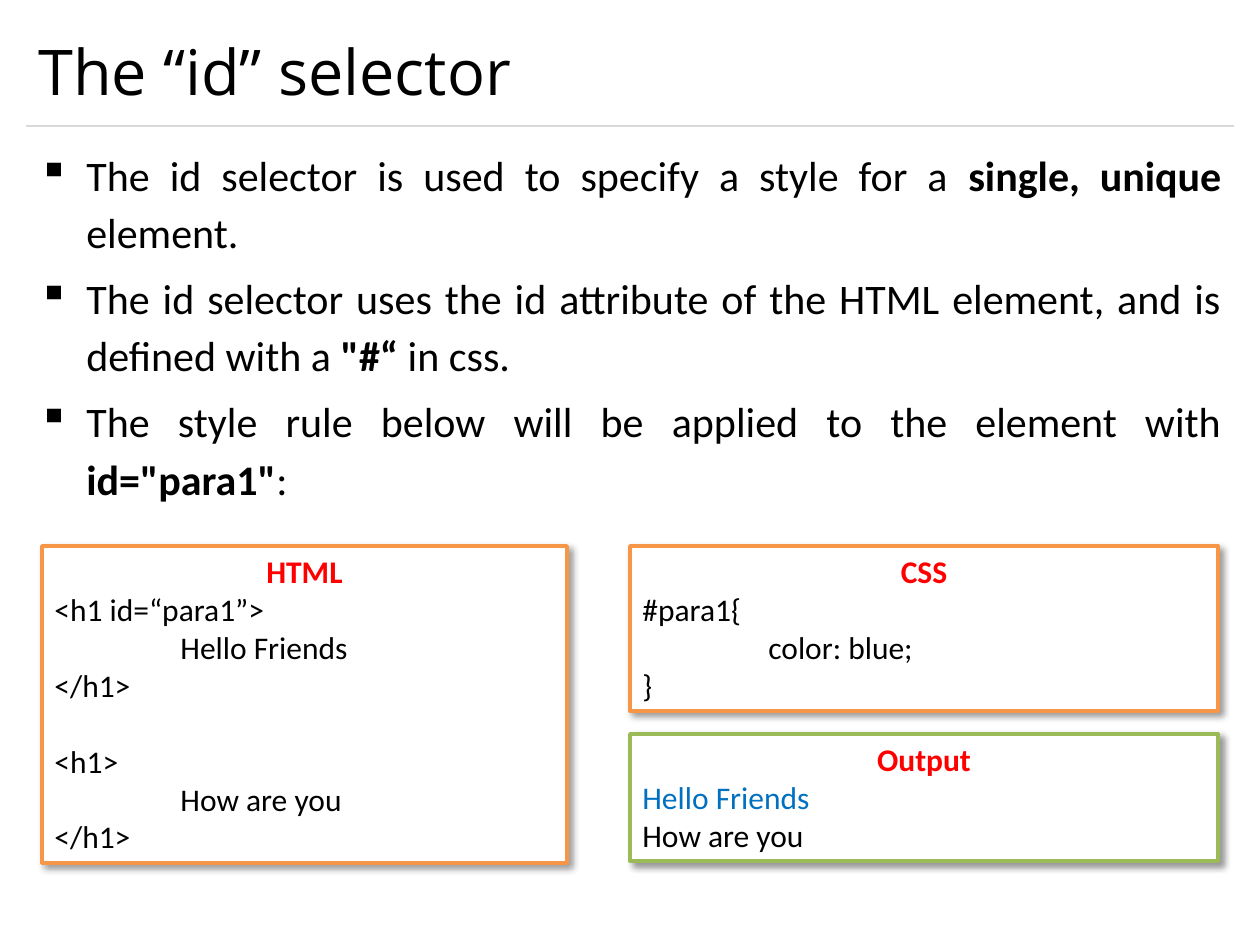
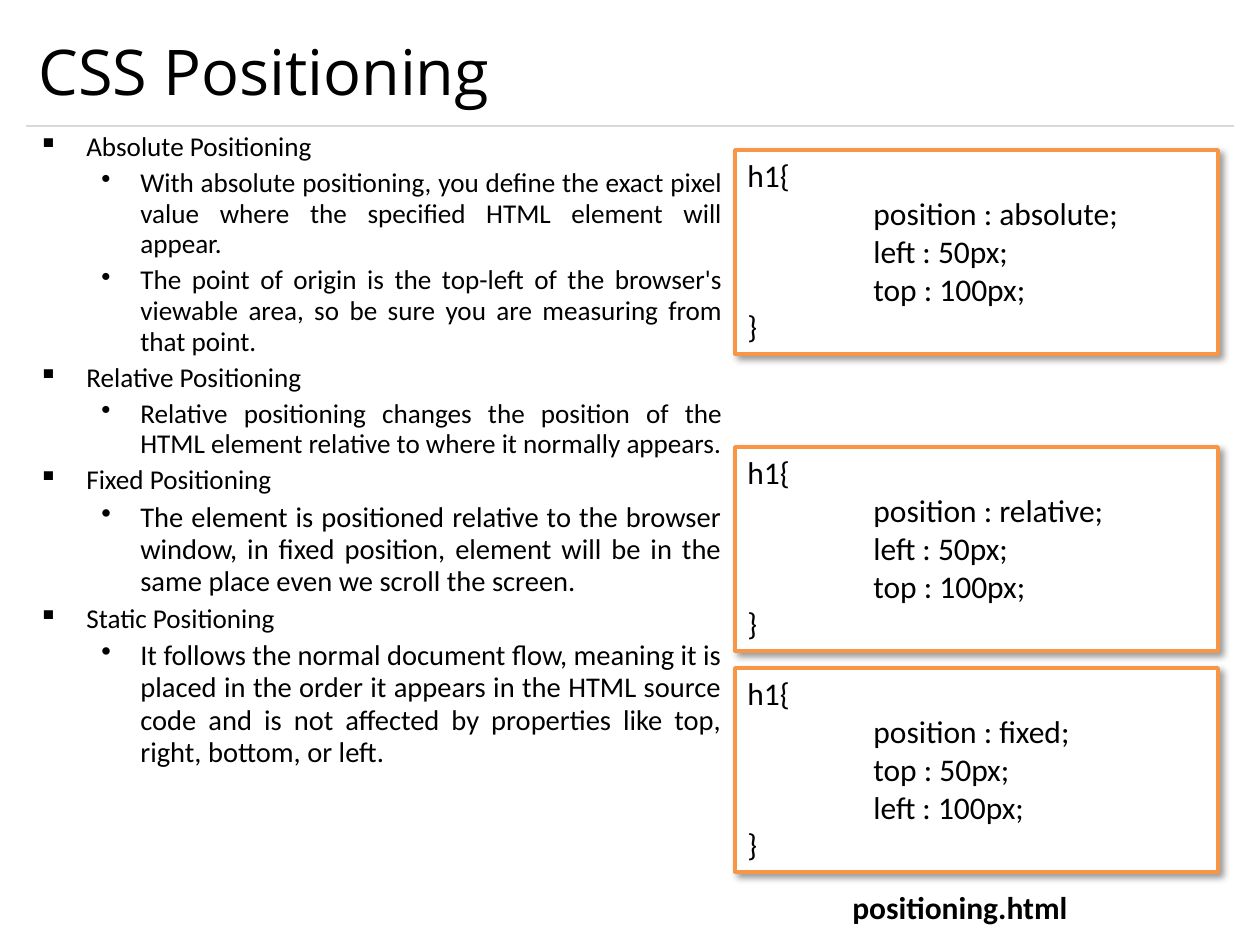
from lxml import etree
from pptx import Presentation
from pptx.dml.color import RGBColor
from pptx.enum.shapes import MSO_CONNECTOR, MSO_SHAPE
from pptx.enum.text import MSO_ANCHOR, PP_ALIGN
from pptx.oxml.ns import qn
from pptx.util import Pt

STRAIGHT = MSO_CONNECTOR.STRAIGHT
RECTANGLE = MSO_SHAPE.RECTANGLE
TOP, MIDDLE = MSO_ANCHOR.TOP, MSO_ANCHOR.MIDDLE
LEFT, CENTER, JUSTIFY = PP_ALIGN.LEFT, PP_ALIGN.CENTER, PP_ALIGN.JUSTIFY

EMU_PER_PX = 914400 / 126
PAGE_WIDTH, PAGE_HEIGHT = 1260, 945
MARGIN = 26
RULE_Y = 126
TAB = 126  # indent of a nested code line

COLOURS = {
    "text": "000000",
    "paper": "FFFFFF",
    "rule": "D9D9D9",
    "code": "F79646",
    "output": "9BBB59",
    "heading": "FF0000",
    "blue": "0070C0",
}
TITLE_FONT, BODY_FONT = "Open Sans", "Calibri"

# Bullet character, left indent and hanging indent for each level
BULLETS = [("▪", 48, 48), ("•", 102, 39)]


def px(length):
    return round(length * EMU_PER_PX)


def colour(name):
    return RGBColor.from_string(COLOURS[name])


def format_span(span, size, bold=False, tint="text", font=BODY_FONT):
    span.font.name = font
    span.font.size = Pt(size)
    span.font.bold = bold
    span.font.color.rgb = colour(tint)


def add_paragraph(frame, index):
    return frame.add_paragraph() if index else frame.paragraphs[0]


def add_text_box(page, left, top, width, height, anchor=TOP):
    box = page.shapes.add_textbox(px(left), px(top), px(width), px(height))
    frame = box.text_frame
    frame.word_wrap = True
    frame.vertical_anchor = anchor
    return frame


def add_page(deck, title):
    """Blank page with the shared title and the rule under it."""
    page = deck.slides.add_slide(deck.slide_layouts[6])
    width = PAGE_WIDTH - 2 * MARGIN
    rule = page.shapes.add_connector(
        STRAIGHT, px(MARGIN), px(RULE_Y), px(MARGIN + width), px(RULE_Y))
    rule.line.color.rgb = colour("rule")
    rule.line.width = Pt(0.75)
    etree.SubElement(rule._element.spPr, qn("a:effectLst"))

    frame = add_text_box(page, MARGIN, 15, width, 111, MIDDLE)
    frame.text = title
    format_span(frame.paragraphs[0].runs[0], 36, font=TITLE_FONT)
    return page


def set_indent(para, left, hanging=0):
    properties = para._p.get_or_add_pPr()
    properties.set("marL", str(px(left)))
    properties.set("indent", str(-px(hanging)))
    return properties


def add_bullets(page, area, items, spacing):
    """Items are (level, size, text); ** encloses bold words."""
    frame = add_text_box(page, *area)
    for index, (level, size, text) in enumerate(items):
        para = add_paragraph(frame, index)
        for part, words in enumerate(text.split("**")):
            span = para.add_run()
            span.text = words
            format_span(span, size, bold=part % 2 == 1)
        para.level = level
        para.alignment = JUSTIFY
        para.line_spacing = spacing
        para.space_before = Pt(size * 0.2)
        character, left, hanging = BULLETS[level]
        properties = set_indent(para, left, hanging)
        etree.SubElement(properties, qn("a:buChar"), char=character)


def add_shadow(box):
    effects = box._element.spPr.find(qn("a:effectLst"))
    shadow = etree.SubElement(
        effects, qn("a:outerShdw"), blurRad=str(Pt(4)), dist=str(Pt(3)),
        dir="2700000", algn="tl", rotWithShape="0")
    black = etree.SubElement(shadow, qn("a:srgbClr"), val=COLOURS["text"])
    etree.SubElement(black, qn("a:alpha"), val="40000")


def add_panel(page, left, top, width, height, lines, heading=None,
              border="code"):
    """Bordered box of code; a line is (text, indent, gap before, colour)."""
    box = page.shapes.add_shape(
        RECTANGLE, px(left), px(top), px(width), px(height))
    box.fill.solid()
    box.fill.fore_color.rgb = colour("paper")
    box.line.color.rgb = colour(border)
    box.line.width = Pt(2)
    box.shadow.inherit = False
    add_shadow(box)

    frame = box.text_frame
    frame.word_wrap = True
    frame.vertical_anchor = TOP
    if heading:
        lines = [(heading, 0, 0, "heading")] + lines
    for index, (text, indent, gap, tint) in enumerate(lines):
        is_heading = tint == "heading"
        para = add_paragraph(frame, index)
        para.text = text
        para.alignment = CENTER if is_heading else LEFT
        para.space_before = Pt(gap)
        set_indent(para, indent)
        format_span(para.runs[0], 18, is_heading, tint)


def line(text, indent=0, gap=0, tint="text"):
    return text, indent, gap, tint


def h1_rule(*declarations):
    return [line("h1{"), *(line(text, TAB) for text in declarations), line("}")]


def build_id_selector(deck):
    page = add_page(deck, "The “id” selector")
    add_bullets(page, (MARGIN, 136, 1208, 399), [
        (0, 24, "The id selector is used to specify a style for a "
                "**single, unique **element."),
        (0, 24, "The id selector uses the id attribute of the HTML element, "
                "and is defined with a** \"#“ **in css."),
        (0, 24, "The style rule below will be applied to the element with "
                "**id=\"para1\"**:"),
    ], 1.14)

    # Markup, style rule and result
    add_panel(page, 42, 546, 525, 317, [
        line("<h1 id=“para1”>"),
        line("Hello Friends", TAB),
        line("</h1>"),
        line("<h1>", gap=22),
        line("How are you", TAB),
        line("</h1>"),
    ], "HTML")
    add_panel(page, 630, 546, 588, 165, [
        line("#para1{"),
        line("color: blue;", TAB),
        line("}"),
    ], "CSS")
    add_panel(page, 630, 734, 588, 127, [
        line("Hello Friends", tint="blue"),
        line("How are you"),
    ], "Output", "output")


def build_positioning(deck):
    page = add_page(deck, "CSS Positioning")
    add_bullets(page, (MARGIN, RULE_Y, 708, 766), [
        (0, 15.5, "Absolute Positioning"),
        (1, 15.5, "With absolute positioning, you define the exact pixel "
                  "value where the specified HTML element will appear."),
        (1, 15.5, "The point of origin is the top-left of the browser's "
                  "viewable area, so be sure you are measuring from that "
                  "point."),
        (0, 15.5, "Relative Positioning"),
        (1, 15.5, "Relative positioning changes the position of the HTML "
                  "element relative to where it normally appears."),
        (0, 15.5, "Fixed Positioning"),
        (1, 16.3, "The element is positioned relative to the browser window, "
                  "in fixed position, element will be in the same place even "
                  "we scroll the screen."),
        (0, 15.5, "Static Positioning"),
        (1, 16.3, "It follows the normal document flow, meaning it is placed "
                  "in the order it appears in the HTML source code and is not "
                  "affected by properties like top, right, bottom, or left."),
    ], 0.94)

    # One style rule for each kind of positioning
    for top, declarations in [
        (150, ("position : absolute;", "left : 50px;", "top : 100px;")),
        (447, ("position : relative;", "left : 50px;", "top : 100px;")),
        (668, ("position : fixed;", "top : 50px;", "left : 100px;")),
    ]:
        add_panel(page, 735, top, 483, 204, h1_rule(*declarations))

    # File name of the example
    frame = add_text_box(page, 840, 882, 305, 89)
    frame.text = "positioning.html"
    format_span(frame.paragraphs[0].runs[0], 18, bold=True)


def main():
    deck = Presentation()
    deck.slide_width = px(PAGE_WIDTH)
    deck.slide_height = px(PAGE_HEIGHT)
    build_id_selector(deck)
    build_positioning(deck)
    deck.save("out.pptx")


if __name__ == "__main__":
    main()
